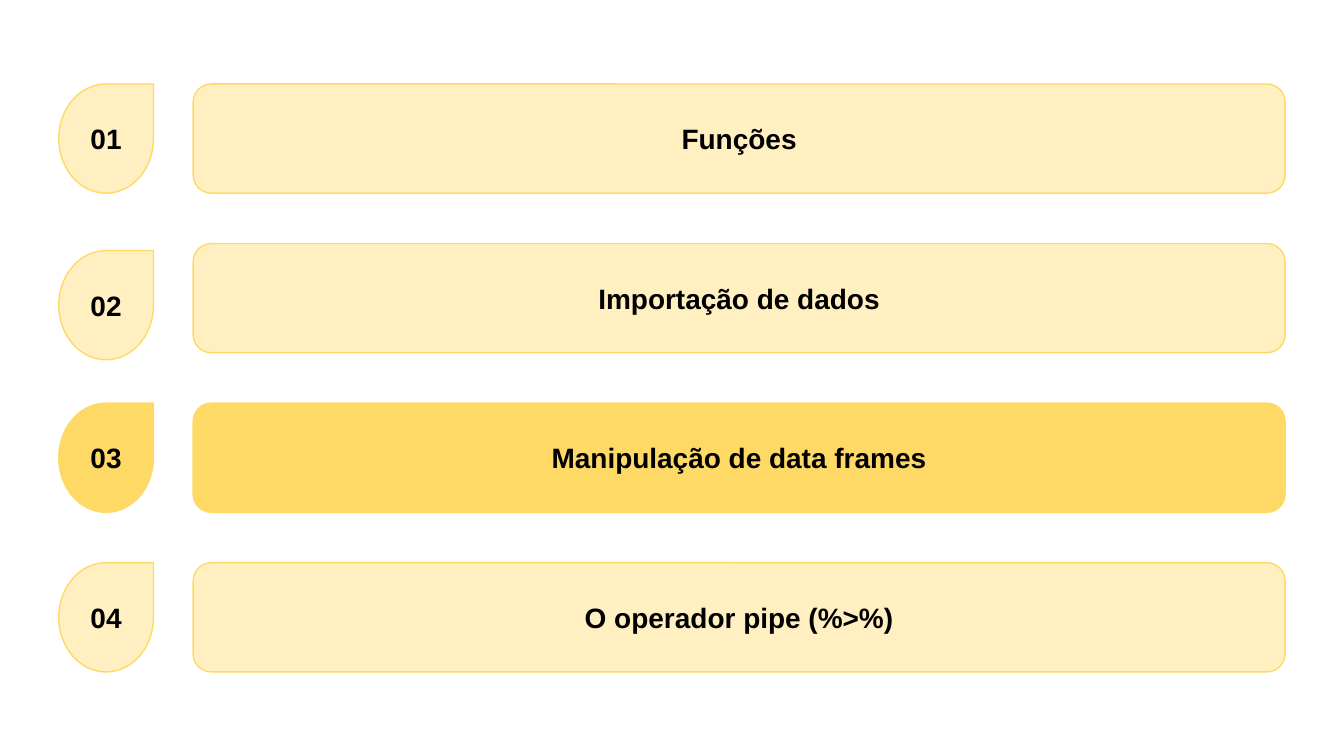
from dataclasses import dataclass

from lxml import etree
from pptx import Presentation
from pptx.dml.color import RGBColor
from pptx.enum import shapes, text
from pptx.oxml import ns
from pptx.util import Pt


@dataclass(frozen=True)
class Theme:
    accent: RGBColor = RGBColor(0xFF, 0xD9, 0x66)
    ink: RGBColor = RGBColor(0, 0, 0)
    font: str = "Arial"
    size: float = 15
    outline: float = 0.75
    inset: float = 7.2
    muted_opacity: int = 40


class Agenda:
    def __init__(self, slide, theme):
        self.slide = slide
        self.theme = theme

    def _panel(self, preset, label, box, active):
        """Draw a labelled shape; inactive ones get a translucent fill."""
        theme = self.theme
        panel = self.slide.shapes.add_shape(preset, *map(Pt, box))
        panel.shadow.inherit = False
        panel.fill.solid()
        panel.fill.fore_color.rgb = theme.accent
        if not active:
            color = panel.fill._xPr.find(".//" + ns.qn("a:srgbClr"))
            alpha = etree.SubElement(color, ns.qn("a:alpha"))
            alpha.set("val", str(theme.muted_opacity * 1000))
        panel.line.color.rgb = theme.accent
        panel.line.width = Pt(theme.outline)

        frame = panel.text_frame
        frame.margin_left = frame.margin_right = Pt(theme.inset)
        frame.margin_top = frame.margin_bottom = Pt(theme.inset)
        frame.vertical_anchor = text.MSO_ANCHOR.MIDDLE
        frame.text = label
        paragraph = frame.paragraphs[0]
        paragraph.alignment = text.PP_ALIGN.CENTER
        font = paragraph.runs[0].font
        font.name = theme.font
        font.size = Pt(theme.size)
        font.bold = True
        font.color.rgb = theme.ink
        return panel

    def topic(self, label, box, active):
        bar = self._panel(shapes.MSO_SHAPE.ROUNDED_RECTANGLE, label, box, active)
        bar.adjustments[0] = 0.167

    def number(self, label, box, active):
        self._panel(shapes.MSO_SHAPE.TEAR, label, box, active)


TOPICS = [
    "Funções",
    "Importação de dados",
    "Manipulação de data frames",
    "O operador pipe (%>%)",
]
CURRENT = 3
FIRST_TOP, PITCH, ROW_HEIGHT = 45, 85.5, 58.5
NUMBER_LEFT, NUMBER_WIDTH = 31.5, 50.75
TOPIC_LEFT, TOPIC_WIDTH = 103.5, 585
NUMBER_SHIFT = {2: 3.75}  # the second marker sits slightly below its bar


def main():
    deck = Presentation()
    deck.slide_width, deck.slide_height = Pt(720), Pt(405)
    blank = deck.slide_layouts[6]
    agenda = Agenda(deck.slides.add_slide(blank), Theme())

    for position, topic in enumerate(TOPICS, start=1):
        top = FIRST_TOP + (position - 1) * PITCH
        number_top = top + NUMBER_SHIFT.get(position, 0)
        active = position == CURRENT
        agenda.topic(topic, (TOPIC_LEFT, top, TOPIC_WIDTH, ROW_HEIGHT), active)
        agenda.number(f"{position:02}",
                      (NUMBER_LEFT, number_top, NUMBER_WIDTH, ROW_HEIGHT), active)

    deck.save("out.pptx")


if __name__ == "__main__":
    main()
